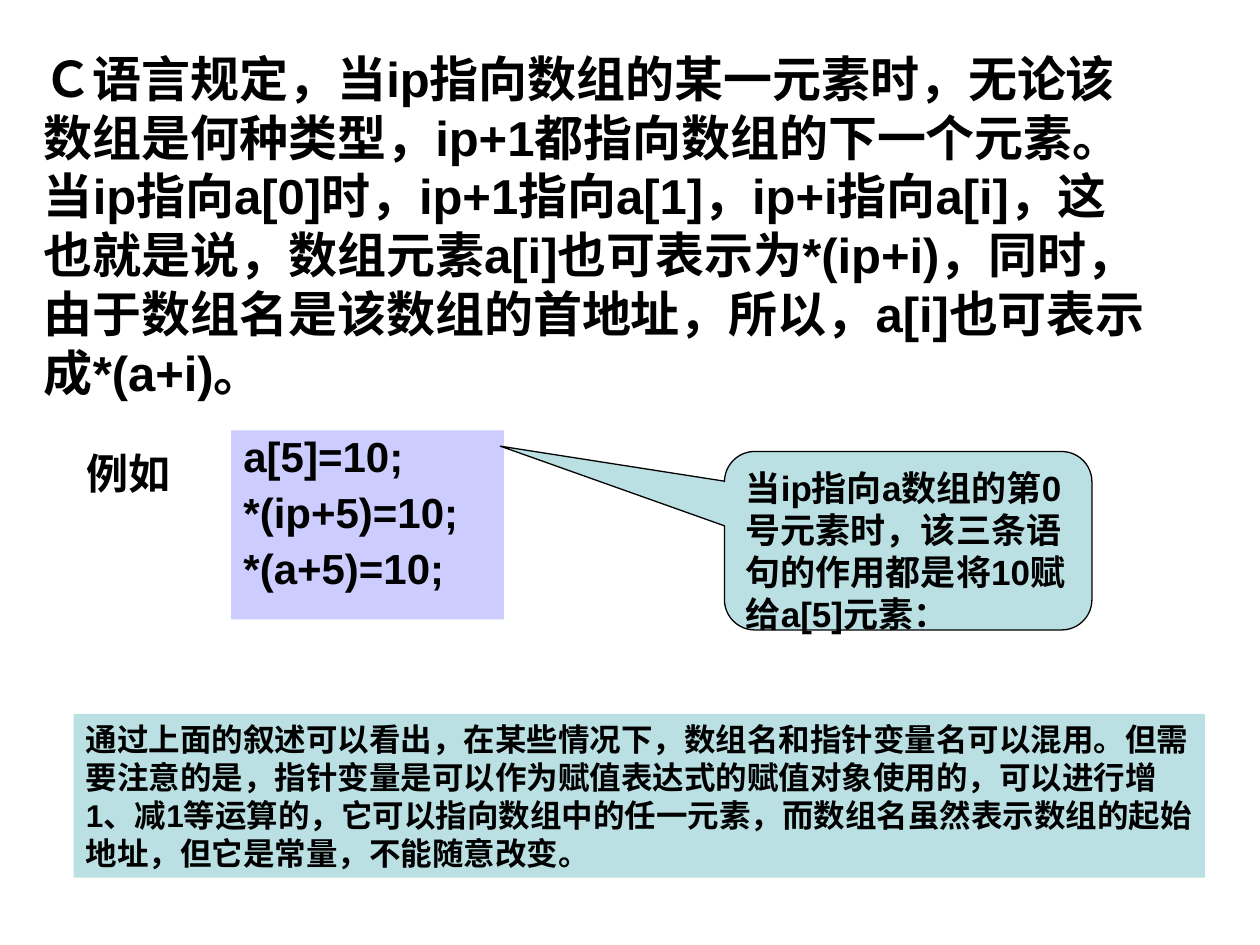
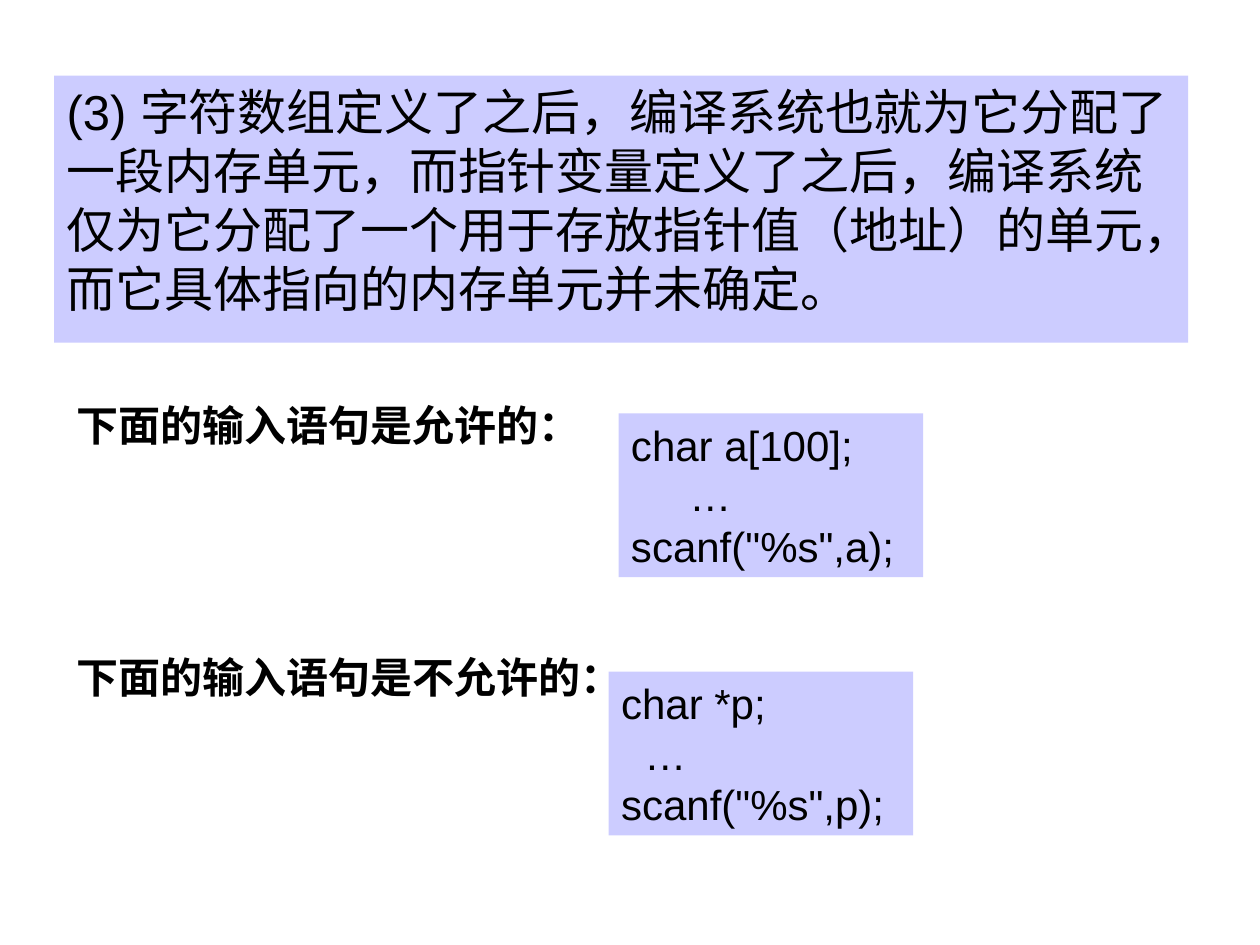
import pptx
import pptx.util
import pptx.dml.color
import pptx.enum.shapes
import pptx.enum.text

Pt = pptx.util.Pt
RGBColor = pptx.dml.color.RGBColor
Shape = pptx.enum.shapes.MSO_SHAPE

BLACK = RGBColor(0x00, 0x00, 0x00)
LAVENDER = RGBColor(0xCC, 0xCC, 0xFF)
PALE_TEAL = RGBColor(0xBB, 0xE0, 0xE3)
FONT = "Arial"
ELLIPSIS = "…"


def write_text(box, lines, size, bold=False, before=0, spacing=None, wrap=True, ellipsis_indent=0):
    frame = box.text_frame
    frame.word_wrap = wrap
    frame.auto_size = pptx.enum.text.MSO_AUTO_SIZE.NONE
    frame.vertical_anchor = pptx.enum.text.MSO_ANCHOR.TOP
    for number, line in enumerate(lines):
        para = frame.add_paragraph() if number else frame.paragraphs[0]
        para.alignment = pptx.enum.text.PP_ALIGN.LEFT
        para.space_before = Pt(before)
        if spacing:
            para.line_spacing = spacing
        if line == ELLIPSIS:
            para._p.get_or_add_pPr().set("marL", str(Pt(ellipsis_indent)))
        span = para.add_run()
        span.text = line
        span.font.name = FONT
        span.font.size = Pt(size)
        span.font.bold = bold
        span.font.color.rgb = BLACK


def add_plain_text(page, left, top, width, height, lines, size, **style):
    box = page.shapes.add_textbox(Pt(left), Pt(top), Pt(width), Pt(height))
    write_text(box, lines, size, **style)


def add_panel(page, left, top, width, height, fill, lines, size, kind=Shape.RECTANGLE, **style):
    panel = page.shapes.add_shape(kind, Pt(left), Pt(top), Pt(width), Pt(height))
    panel.shadow.inherit = False
    panel.fill.solid()
    panel.fill.fore_color.rgb = fill
    panel.line.fill.background()
    write_text(panel, lines, size, **style)
    return panel


def add_callout(page, left, top, width, height, lines, size, adjustments):
    callout = add_panel(page, left, top, width, height, PALE_TEAL, lines, size,
                        kind=Shape.ROUNDED_RECTANGULAR_CALLOUT, bold=True)
    callout.line.color.rgb = BLACK
    callout.line.width = Pt(0.75)
    for number, value in enumerate(adjustments):
        callout.adjustments[number] = value


def add_label(page, left, top, width, text):
    add_plain_text(page, left, top, width, 36, [text], 24, bold=True, wrap=False)


def add_input_example(page, label, label_top, label_width, code_left, code_top, code, indent):
    add_label(page, 36.75, label_top, label_width, label)
    add_panel(page, code_left, code_top, 174, 93.6, LAVENDER, code, 24, ellipsis_indent=indent)


def build_array_pointer_page(page):
    add_plain_text(page, 18, 24, 648, 210, [
        "Ｃ语言规定，当ip指向数组的某一元素时，无论该数组是何种类型，ip+1都指向数组的下一个元素。"
        "当ip指向a[0]时，ip+1指向a[1]，ip+i指向a[i]，这也就是说，数组元素a[i]也可表示为*(ip+i)，"
        "同时，由于数组名是该数组的首地址，所以，a[i]也可表示成*(a+i)。",
    ], 28, bold=True, before=7)
    add_panel(page, 42, 408, 646.5, 93.6, PALE_TEAL, [
        "通过上面的叙述可以看出，在某些情况下，数组名和指针变量名可以混用。但需要注意的是，"
        "指针变量是可以作为赋值表达式的赋值对象使用的，可以进行增1、减1等运算的，"
        "它可以指向数组中的任一元素，而数组名虽然表示数组的起始地址，但它是常量，不能随意改变。",
    ], 18, bold=True, before=11.2)
    add_panel(page, 132, 246, 156, 108, LAVENDER,
              ["a[5]=10;", "*(ip+5)=10;", "*(a+5)=10;"], 24, bold=True, before=6, spacing=0.9)
    add_label(page, 42.5, 252, 62, "例如")
    add_callout(page, 414, 258, 210, 102,
                ["当ip指向a数组的第0号元素时，该三条语句的作用都是将10赋给a[5]元素："],
                20, (-1.11, -0.53, 0.17))


def build_input_page(page):
    add_panel(page, 31, 43.2, 648, 152.6, LAVENDER, [
        "(3) 字符数组定义了之后，编译系统也就为它分配了一段内存单元，而指针变量定义了之后，"
        "编译系统仅为它分配了一个用于存放指针值（地址）的单元，而它具体指向的内存单元并未确定。",
    ], 28, before=7)
    add_input_example(page, "下面的输入语句是允许的：", 224.6, 302.4, 353.5, 236.2,
                      ["char a[100];", ELLIPSIS, 'scanf("%s",a);'], 33.35)
    add_input_example(page, "下面的输入语句是不允许的：", 368.6, 326.2, 347.8, 383.8,
                      ["char *p;", ELLIPSIS, 'scanf("%s",p);'], 13.35)


def main():
    deck = pptx.Presentation()
    deck.slide_width = Pt(720)
    deck.slide_height = Pt(540)
    blank = deck.slide_layouts[6]
    for build_page in (build_array_pointer_page, build_input_page):
        build_page(deck.slides.add_slide(blank))
    deck.save("out.pptx")


if __name__ == "__main__":
    main()
